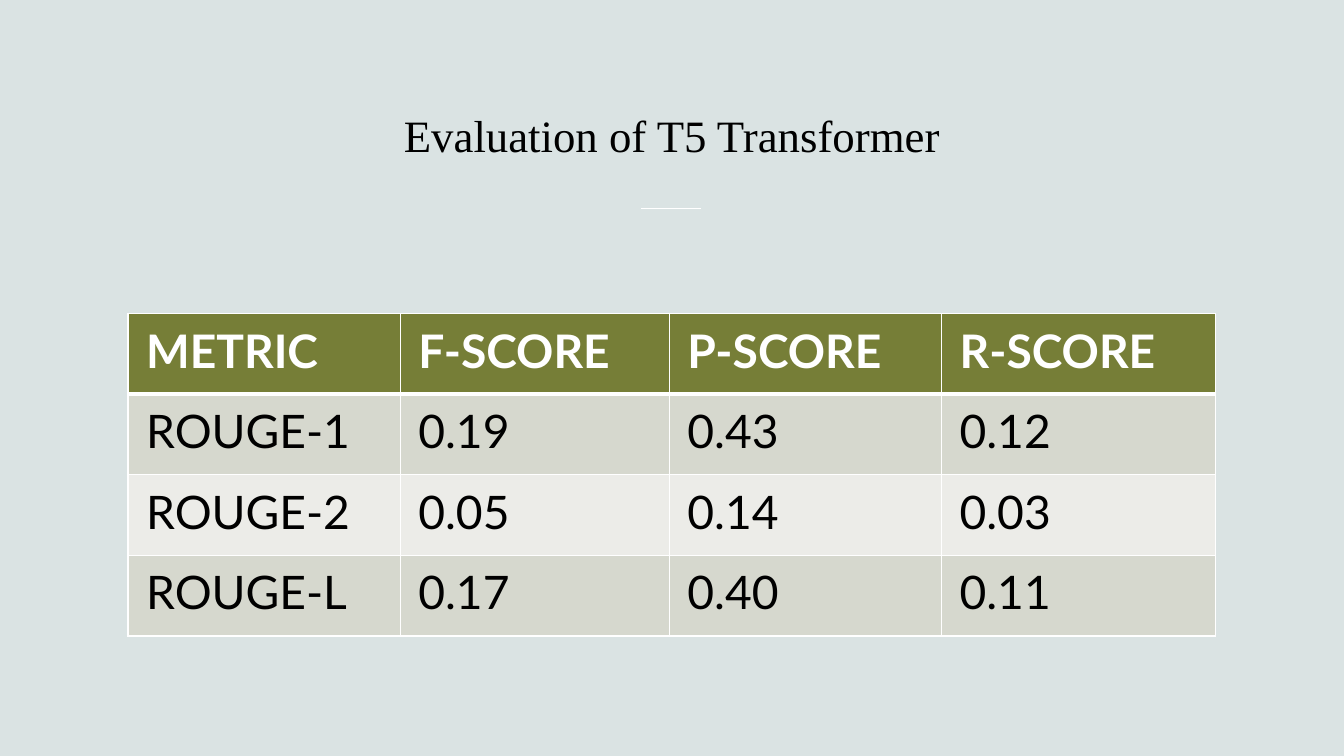
from lxml.etree import SubElement
from pptx import Presentation
from pptx.dml.color import RGBColor
from pptx.enum.shapes import MSO_CONNECTOR as Conn
from pptx.enum.text import MSO_ANCHOR as Anchor, PP_ALIGN as Align
from pptx.oxml.ns import qn
from pptx.util import Inches, Pt

COLUMNS, ROWS = 40, 30
SCORES = [
    ["METRIC", "F-SCORE", "P-SCORE", "R-SCORE"],
    ["ROUGE-1", "0.19", "0.43", "0.12"],
    ["ROUGE-2", "0.05", "0.14", "0.03"],
    ["ROUGE-L", "0.17", "0.40", "0.11"],
]


def rgb(value):
    return RGBColor.from_string(value)


class Deck:
    title_font, table_font = "Times New Roman", "Lato"
    black, white, background = "000000", "FFFFFF", "DAE3E3"
    header, bands = "767E37", ("ECECE8", "D6D8CE")

    def __init__(self):
        self.prs = Presentation()
        self.prs.slide_width, self.prs.slide_height = Inches(13.33), Inches(7.5)
        self.s = self.prs.slides.add_slide(self.prs.slide_layouts[5])
        fill = self.s.background.fill
        fill.solid()
        fill.fore_color.rgb = rgb(self.background)

    def x(self, columns):
        return round(self.prs.slide_width * columns / COLUMNS)

    def y(self, rows):
        return round(self.prs.slide_height * rows / ROWS)

    def style(self, p, font, size, color, bold=False):
        for r in p.runs:
            r.font.name, r.font.size, r.font.bold = font, Pt(size), bold
            r.font.color.rgb = rgb(color)

    def title(self, text, left, top, width, height):
        sp = self.s.shapes.title
        sp.left, sp.top = self.x(left), self.y(top)
        sp.width, sp.height = self.x(width), self.y(height)
        tf = sp.text_frame
        tf.text = text
        tf.vertical_anchor = Anchor.BOTTOM
        p = tf.paragraphs[0]
        p.alignment = Align.CENTER
        self.style(p, self.title_font, 32, self.black)

    def rule(self, left, right, top):
        sp = self.s.shapes.add_connector(
            Conn.STRAIGHT, self.x(left), self.y(top), self.x(right), self.y(top))
        sp.line.color.rgb, sp.line.width = rgb(self.white), Pt(1)
        SubElement(sp._element.spPr, qn("a:effectLst"))

    def border(self, cell, side, width):
        ln = SubElement(cell._tc.get_or_add_tcPr(), qn(f"a:ln{side}"), w=str(Pt(width)))
        SubElement(SubElement(ln, qn("a:solidFill")), qn("a:srgbClr"), val=self.white)

    def cell(self, cell, text, row):
        is_header = row == 0
        cell.text = text
        cell.margin_left = cell.margin_right = Inches(0.18)
        cell.margin_top = cell.margin_bottom = Inches(0.09)
        widths = {"L": 1, "R": 1, "T": 3 if row == 1 else 1, "B": 3 if is_header else 1}
        for side, width in widths.items():
            self.border(cell, side, width)
        cell.fill.solid()
        cell.fill.fore_color.rgb = rgb(self.header if is_header else self.bands[row % 2])
        self.style(cell.text_frame.paragraphs[0], self.table_font, 33,
                   self.white if is_header else self.black, is_header)

    def table(self, data, left, top, widths, row_height):
        table = self.s.shapes.add_table(
            len(data), len(widths), self.x(left), self.y(top),
            self.x(sum(widths)), self.y(row_height * len(data))).table
        for column, width in zip(table.columns, widths):
            column.width = self.x(width)
        for i, values in enumerate(data):
            table.rows[i].height = self.y(row_height)
            for j, text in enumerate(values):
                self.cell(table.cell(i, j), text, i)


def main():
    deck = Deck()
    deck.title("Evaluation of T5 Transformer", 3.24, 1.72, 33.52, 4.88)
    deck.rule(19.08, 20.86, 8.28)
    deck.table(SCORES, 3.81, 12.44, [8.1, 8.01, 8.1, 8.16], 3.2)
    deck.prs.save("out.pptx")


if __name__ == "__main__":
    main()
